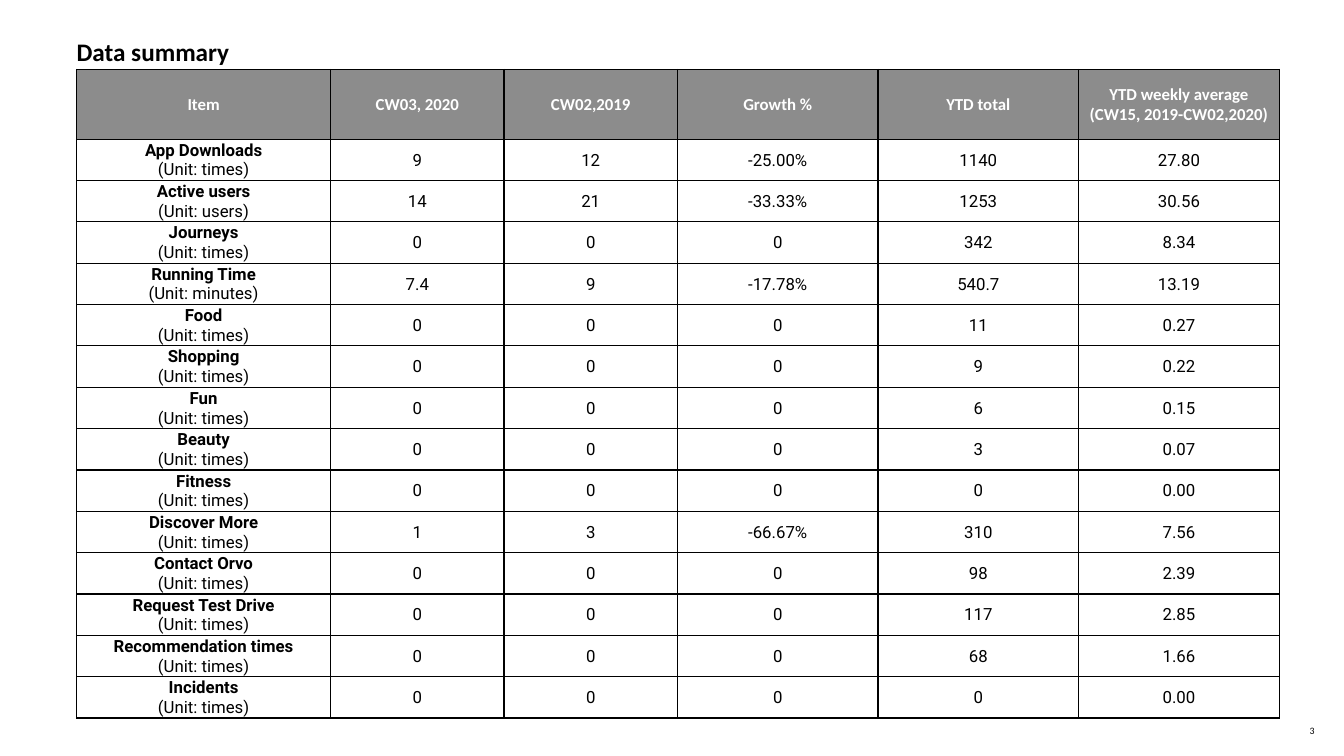
from lxml.etree import SubElement
from pptx import Presentation
from pptx.dml.color import RGBColor
from pptx.enum.text import MSO_ANCHOR, PP_ALIGN
from pptx.oxml.ns import qn
from pptx.util import Inches, Pt

COLORS = {"text": "000000", "header_text": "FFFFFF", "header_fill": "8C8C8C", "border": "000000"}
HEADING_FONT, BODY_FONT = "Calibri", "Roboto"
COLUMN_WIDTHS = [2.52, 1.72, 1.72, 1.99, 1.99, 1.99]
HEADER_HEIGHT, ROW_HEIGHT = 0.69, 0.4

HEADERS = ["Item", "CW03, 2020", "CW02,2019", "Growth %", "YTD total",
           "YTD weekly average\n(CW15, 2019-CW02,2020)"]
# Item, unit, this week, earlier week, growth, total, weekly average
ITEMS = [
    ("App Downloads", "times", "9", "12", "-25.00%", "1140", "27.80"),
    ("Active users", "users", "14", "21", "-33.33%", "1253", "30.56"),
    ("Journeys", "times", "0", "0", "0", "342", "8.34"),
    ("Running Time", "minutes", "7.4", "9", "-17.78%", "540.7", "13.19"),
    ("Food", "times", "0", "0", "0", "11", "0.27"),
    ("Shopping", "times", "0", "0", "0", "9", "0.22"),
    ("Fun", "times", "0", "0", "0", "6", "0.15"),
    ("Beauty", "times", "0", "0", "0", "3", "0.07"),
    ("Fitness", "times", "0", "0", "0", "0", "0.00"),
    ("Discover More", "times", "1", "3", "-66.67%", "310", "7.56"),
    ("Contact Orvo", "times", "0", "0", "0", "98", "2.39"),
    ("Request Test Drive", "times", "0", "0", "0", "117", "2.85"),
    ("Recommendation times", "times", "0", "0", "0", "68", "1.66"),
    ("Incidents", "times", "0", "0", "0", "0", "0.00"),
]


def style_paragraph(para, font, size, color, bold=False):
    para.font.name = font
    para.font.size = Pt(size)
    para.font.bold = bold
    para.font.color.rgb = RGBColor.from_string(COLORS[color])


def add_label(page, text, left, top, width, height, size, bold=False,
              anchor=MSO_ANCHOR.TOP, line_spacing=1.0):
    frame = page.shapes.add_textbox(Inches(left), Inches(top), Inches(width), Inches(height)).text_frame
    frame.word_wrap = True
    frame.vertical_anchor = anchor
    frame.margin_left = frame.margin_right = frame.margin_top = frame.margin_bottom = 0
    frame.text = text
    para = frame.paragraphs[0]
    para.line_spacing = line_spacing
    style_paragraph(para, HEADING_FONT, size, "text", bold)


def add_borders(cell):
    properties = cell._tc.get_or_add_tcPr()
    for side in ("lnL", "lnR", "lnT", "lnB"):
        line = SubElement(properties, qn(f"a:{side}"), w=str(Pt(1)))
        fill = SubElement(line, qn("a:solidFill"))
        SubElement(fill, qn("a:srgbClr"), val=COLORS["border"])


def fill_cell(cell, text, header=False, item=False):
    cell.margin_left = cell.margin_right = cell.margin_top = Inches(0.01)
    cell.margin_bottom = 0
    cell.vertical_anchor = MSO_ANCHOR.MIDDLE
    cell.text_frame.text = text
    for index, para in enumerate(cell.text_frame.paragraphs):
        para.alignment = PP_ALIGN.CENTER
        if header:
            style_paragraph(para, HEADING_FONT, 12, "header_text", True)
        else:
            style_paragraph(para, BODY_FONT, 12, "text", item and index == 0)
    add_borders(cell)
    if header:
        cell.fill.solid()
        cell.fill.fore_color.rgb = RGBColor.from_string(COLORS["header_fill"])
    else:
        cell.fill.background()


def add_summary_table(page):
    height = HEADER_HEIGHT + ROW_HEIGHT * len(ITEMS)
    table = page.shapes.add_table(len(ITEMS) + 1, len(HEADERS), Inches(0.76), Inches(0.69),
                                  Inches(sum(COLUMN_WIDTHS)), Inches(height)).table
    table.horz_banding = False
    for column, width in zip(table.columns, COLUMN_WIDTHS):
        column.width = Inches(width)
    for index, row in enumerate(table.rows):
        row.height = Inches(ROW_HEIGHT if index else HEADER_HEIGHT)

    # Header row
    for column, text in enumerate(HEADERS):
        fill_cell(table.cell(0, column), text, header=True)

    # One row per item
    for row, (name, unit, *values) in enumerate(ITEMS, start=1):
        fill_cell(table.cell(row, 0), f"{name}\n(Unit: {unit})", item=True)
        for column, value in enumerate(values, start=1):
            fill_cell(table.cell(row, column), value)


def main():
    deck = Presentation()
    deck.slide_width, deck.slide_height = Inches(13.33), Inches(7.5)
    page = deck.slides.add_slide(deck.slide_layouts[6])
    # Page number, title and table
    add_label(page, "3", 12.99, 7.16, 0.34, 0.17, 7, anchor=MSO_ANCHOR.MIDDLE)
    add_label(page, "Data summary", 0.76, 0.33, 12.4, 0.67, 18, bold=True, line_spacing=1.1)
    add_summary_table(page)
    deck.save("out.pptx")


if __name__ == "__main__":
    main()
